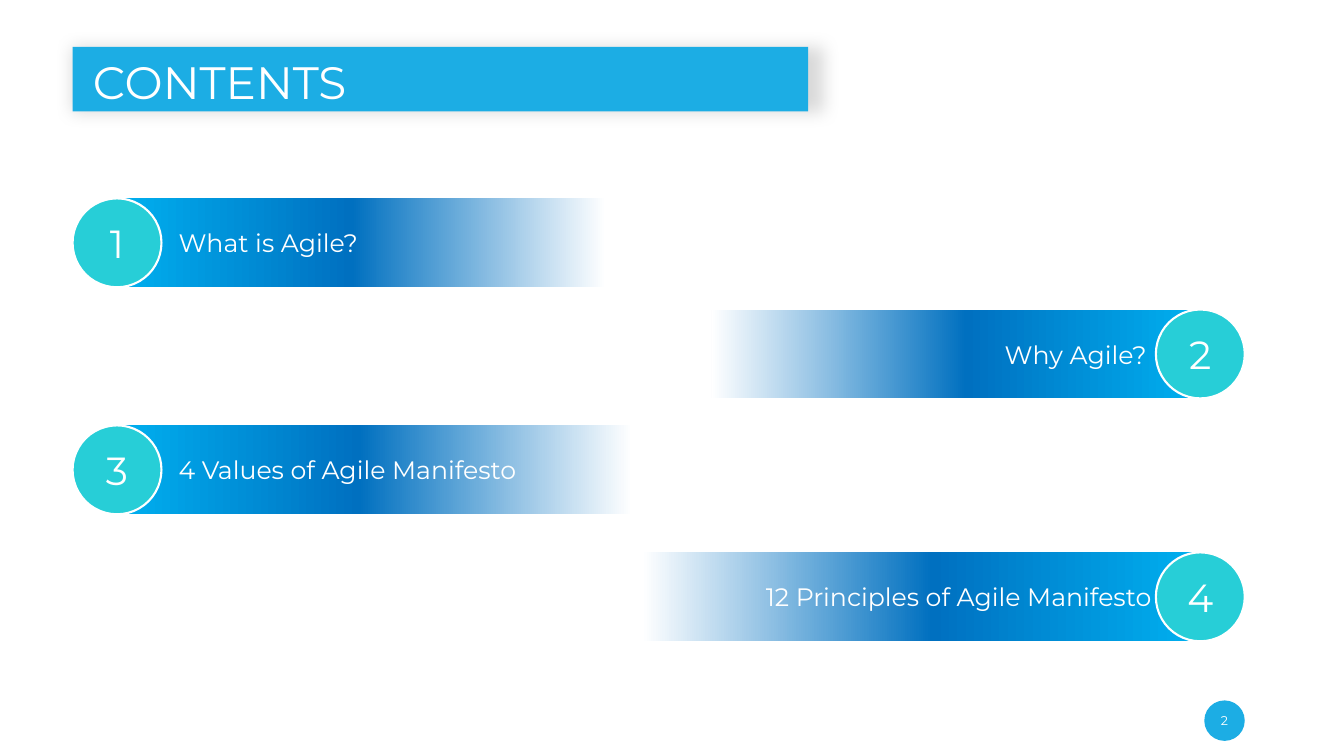
import copy

import pptx
import pptx.dml.color
import pptx.enum.shapes
import pptx.enum.text
import pptx.oxml
import pptx.oxml.ns
import pptx.util

Cm = pptx.util.Cm
SHAPE = pptx.enum.shapes.MSO_SHAPE
ALIGN = pptx.enum.text.PP_ALIGN

COLOURS = {
    "banner": "1CADE4",
    "circle": "27CED7",
    "bar_start": "00B0F0",
    "bar_middle": "0070C0",
    "white": "FFFFFF",
}
FONT = "Montserrat"

CIRCLE_SIZE = 2.24
LEFT_CIRCLE = 1.83
RIGHT_CIRCLE = 29.13

# number, text, side, top, bar width, text indent, middle stop (lengths in cm)
TOPICS = [
    ("1", "What is Agile?", "left", 5.0, 12.32, 1.3, 0.48),
    ("2", "Why Agile?", "right", 7.8, 12.32, 7.14, 0.48),
    ("3", "4 Values of Agile Manifesto", "left", 10.72, 12.98, 1.3, 0.47),
    ("4", "12 Principles of Agile Manifesto", "right", 13.92, 14.07, 2.87, 0.48),
]

SHADOW = (
    '<a:effectLst xmlns:a="http://schemas.openxmlformats.org/drawingml/2006/main">'
    '<a:outerShdw blurRad="152400" dist="0" dir="0" sx="102000" sy="100000" algn="l" rotWithShape="0">'
    '<a:srgbClr val="000000"><a:alpha val="14000"/></a:srgbClr>'
    "</a:outerShdw></a:effectLst>"
)


def rgb(name):
    return pptx.dml.color.RGBColor.from_string(COLOURS[name])


def add_shape(shapes, kind, left, top, width, height, fill=None):
    """Add a shape without line or shadow; lengths in cm."""
    shape = shapes.add_shape(kind, Cm(left), Cm(top), Cm(width), Cm(height))
    shape.shadow.inherit = False
    shape.line.fill.background()
    if fill:
        shape.fill.solid()
        shape.fill.fore_color.rgb = rgb(fill)
    return shape


def write_text(shape, text, size, alignment=ALIGN.LEFT, indent=0, **margins):
    frame = shape.text_frame
    frame_format = {
        "word_wrap": True,
        "vertical_anchor": pptx.enum.text.MSO_ANCHOR.MIDDLE,
        **{name: Cm(value) for name, value in margins.items()},
    }
    for name, value in frame_format.items():
        setattr(frame, name, value)
    paragraph = frame.paragraphs[0]
    paragraph.alignment = alignment
    if indent:
        properties = paragraph._p.get_or_add_pPr()
        properties.set("marL", str(Cm(indent)))
        properties.set("indent", "0")
    run = paragraph.add_run()
    run.text = text
    for name, value in {"name": FONT, "size": pptx.util.Pt(size)}.items():
        setattr(run.font, name, value)
    run.font.color.rgb = rgb("white")


def fill_gradient(shape, middle, angle):
    """Fade from light blue through dark blue to white."""
    shape.fill.gradient()
    stop_list = shape._element.spPr.find(".//" + pptx.oxml.ns.qn("a:gsLst"))
    stop_list.append(copy.deepcopy(stop_list[-1]))
    stops = [(0, "bar_start"), (middle, "bar_middle"), (1, "white")]
    for stop, (position, colour) in zip(shape.fill.gradient_stops, stops):
        stop.position = position
        stop.color.rgb = rgb(colour)
    shape.fill.gradient_angle = angle


def add_title(slide, text):
    banner = add_shape(slide.shapes, SHAPE.RECTANGLE, 1.83, 1.18, 18.54, 1.63, "banner")
    properties = banner._element.spPr
    properties.remove(properties.find(pptx.oxml.ns.qn("a:effectLst")))
    properties.append(pptx.oxml.parse_xml(SHADOW))
    write_text(banner, text, 32.4, margin_left=0.51, margin_right=0.51,
               margin_top=0.13, margin_bottom=0)


def add_topic(slide, number, text, side, top, width, indent, middle):
    group = slide.shapes.add_group_shape()
    on_left = side == "left"
    circle_left = LEFT_CIRCLE if on_left else RIGHT_CIRCLE
    circle_centre = circle_left + CIRCLE_SIZE / 2

    # The bar starts at the circle's centre and fades away from it
    bar_left = circle_centre if on_left else circle_centre - width
    bar = add_shape(group.shapes, SHAPE.RECTANGLE, bar_left, top, width, CIRCLE_SIZE)
    fill_gradient(bar, middle, 0 if on_left else 180)
    write_text(bar, text, 18, indent=indent)

    circle = add_shape(group.shapes, SHAPE.OVAL, circle_left, top,
                       CIRCLE_SIZE, CIRCLE_SIZE, "circle")
    circle.line.color.rgb = rgb("white")
    circle.line.width = pptx.util.Pt(1.5)
    write_text(circle, number, 28, ALIGN.CENTER)


def add_page_number(slide, number):
    badge = add_shape(slide.shapes, SHAPE.FLOWCHART_CONNECTOR, 30.35, 17.65, 1.02, 1.02, "banner")
    write_text(badge, number, 9, ALIGN.CENTER, margin_left=0, margin_right=0)


def main():
    presentation = pptx.Presentation()
    presentation.slide_width = Cm(33.87)
    presentation.slide_height = Cm(19.05)
    slide = presentation.slides.add_slide(presentation.slide_layouts[6])

    add_title(slide, "CONTENTS")
    add_page_number(slide, "2")
    for topic in TOPICS:
        add_topic(slide, *topic)

    presentation.save("out.pptx")


if __name__ == "__main__":
    main()
